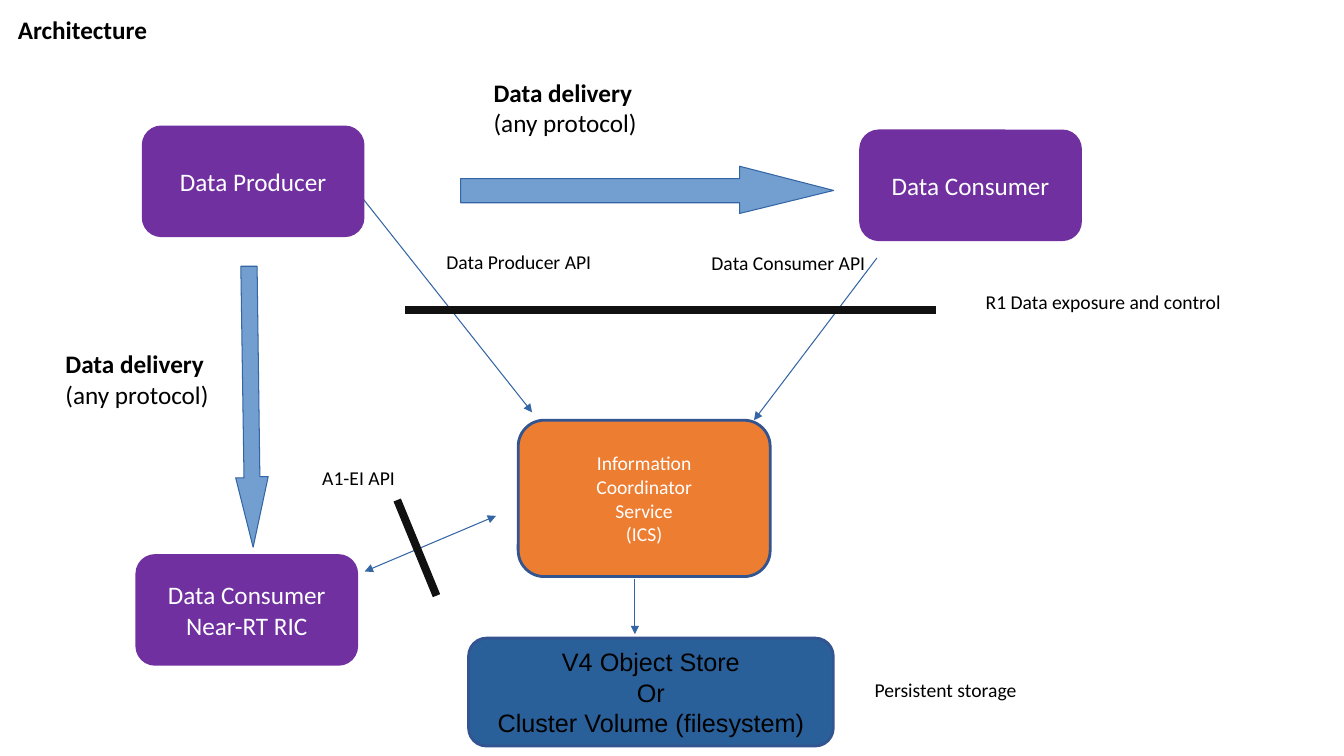
from dataclasses import dataclass

from lxml.etree import SubElement
from pptx import Presentation
from pptx.dml.color import RGBColor
from pptx.enum.shapes import MSO_CONNECTOR as Connector, MSO_SHAPE as Preset
from pptx.enum.text import MSO_ANCHOR as Anchor, PP_ALIGN as Align
from pptx.oxml.ns import qn
from pptx.util import Cm, Pt


@dataclass(frozen=True)
class Theme:
    black: str = "000000"
    white: str = "FFFFFF"
    purple: str = "7030A0"
    orange: str = "ED7D31"
    store_blue: str = "2A6099"
    border_blue: str = "325491"
    arrow_fill: str = "729FCF"
    arrow_line: str = "3465A4"
    bar: str = "111111"
    font: str = "Calibri"
    store_font: str = "Arial"
    large: int = 18
    small: int = 14
    box_border: float = 2
    thin: float = 0.75
    thick: float = 5.67


THEME = Theme()


@dataclass(frozen=True)
class Box:
    left: float
    top: float
    lines: tuple[str, ...]
    width: float = 5.54
    height: float = 2.74
    fill: str = THEME.purple
    border: str = THEME.purple
    color: str = THEME.white
    size: int = THEME.large
    font: str = THEME.font


@dataclass(frozen=True)
class Label:
    left: float
    top: float
    width: float
    height: float
    lines: tuple[str, ...]
    heading: bool = False


@dataclass(frozen=True)
class Line:
    start: tuple[float, float]
    end: tuple[float, float]
    color: str = THEME.arrow_line
    weight: float = THEME.thin
    head: bool = False
    tail: bool = False


DELIVERY = ("Data delivery", "(any protocol)")

LINES = (
    Line((22.1, 6.5), (19, 10.59), tail=True),
    Line((8.2, 3.81), (13.41, 10.39), head=True, tail=True),
    Line((10.21, 7.8), (23.6, 7.8), THEME.bar, THEME.thick),
    Line((12.5, 13), (9.19, 14.4), head=True, tail=True),
    Line((10.01, 12.6), (11, 15.01), THEME.bar, THEME.thick),
    Line((16, 14.58), (16, 15.98), tail=True),
)

BLOCK_ARROWS = (
    ((11.61, 4.5), (18.64, 4.5), (18.64, 4.19), (21.01, 4.8),
     (18.64, 5.38), (18.64, 5.11), (11.61, 5.11)),
    ((6.07, 6.71), (6.15, 12.04), (5.94, 12.04), (6.38, 13.79),
     (6.76, 12.01), (6.55, 12.01), (6.48, 6.71)),
)

BOXES = (
    Box(3.61, 3.2, ("Data Producer",)),
    Box(21.69, 3.3, ("Data Consumer",)),
    Box(3.45, 14, ("Data Consumer", "Near-RT RIC")),
    Box(13.06, 10.59, ("Information", "Coordinator", "Service", "(ICS)"),
        6.35, 3.94, THEME.orange, THEME.border_blue, size=THEME.small),
    Box(11.81, 16.08, ("V4 Object Store", "Or", "Cluster Volume (filesystem)"),
        9.19, 2.72, THEME.store_blue, THEME.border_blue, THEME.black,
        font=THEME.store_font),
)

LABELS = (
    Label(0.2, 0.23, 6.2, 1.02, ("Architecture",), heading=True),
    Label(12.19, 1.83, 6.2, 1.78, DELIVERY, heading=True),
    Label(1.4, 8.66, 4.19, 3.3, DELIVERY, heading=True),
    Label(11, 6.17, 4.19, 1.42, ("Data Producer API",)),
    Label(17.68, 6.2, 4.93, 1.42, ("Data Consumer API",)),
    Label(24.59, 7.19, 8.64, 0.84, ("R1 Data exposure and control",)),
    Label(7.87, 11.61, 4.93, 0.84, ("A1-EI API",)),
    Label(21.79, 16.97, 8.64, 0.84, ("Persistent storage",)),
)


def rgb(color: str) -> RGBColor:
    return RGBColor.from_string(color)


def write_text(shape, lines: tuple[str, ...], *, size: int = THEME.small,
               color: str = THEME.black, font: str = THEME.font,
               bold_first: bool = False, align: Align = Align.LEFT,
               anchor: Anchor = Anchor.TOP) -> None:
    """Write one paragraph per line, optionally with the first in bold."""
    frame = shape.text_frame
    frame.word_wrap = True
    frame.vertical_anchor = anchor
    for index, line in enumerate(lines):
        paragraph = frame.paragraphs[0] if index == 0 else frame.add_paragraph()
        paragraph.alignment = align
        run = paragraph.add_run()
        run.text = line
        run.font.name = font
        run.font.size = Pt(size)
        run.font.bold = bold_first and index == 0
        run.font.color.rgb = rgb(color)


def paint(shape, fill: str, border: str, weight: float) -> None:
    shape.shadow.inherit = False
    shape.fill.solid()
    shape.fill.fore_color.rgb = rgb(fill)
    shape.line.color.rgb = rgb(border)
    shape.line.width = Pt(weight)


def draw_line(slide, line: Line) -> None:
    connector = slide.shapes.add_connector(
        Connector.STRAIGHT, *map(Cm, line.start + line.end))
    connector.line.color.rgb = rgb(line.color)
    connector.line.width = Pt(line.weight)
    properties = connector.line._get_or_add_ln()
    for tag, shown in (("a:headEnd", line.head), ("a:tailEnd", line.tail)):
        if shown:
            SubElement(properties, qn(tag), type="triangle")
    SubElement(connector._element.spPr, qn("a:effectLst"))


def draw_block_arrow(slide, points: tuple[tuple[float, float], ...]) -> None:
    start, *others = [(Cm(x), Cm(y)) for x, y in points]
    builder = slide.shapes.build_freeform(*start)
    builder.add_line_segments(others, close=True)
    paint(builder.convert_to_shape(), THEME.arrow_fill, THEME.arrow_line, THEME.thin)


def draw_box(slide, box: Box) -> None:
    shape = slide.shapes.add_shape(
        Preset.ROUNDED_RECTANGLE,
        Cm(box.left), Cm(box.top), Cm(box.width), Cm(box.height))
    paint(shape, box.fill, box.border, THEME.box_border)
    write_text(shape, box.lines, size=box.size, color=box.color, font=box.font,
               align=Align.CENTER, anchor=Anchor.MIDDLE)


def draw_label(slide, label: Label) -> None:
    shape = slide.shapes.add_textbox(
        Cm(label.left), Cm(label.top), Cm(label.width), Cm(label.height))
    write_text(shape, label.lines, bold_first=label.heading,
               size=THEME.large if label.heading else THEME.small)


def main() -> None:
    presentation = Presentation()
    presentation.slide_width = Cm(33.87)
    presentation.slide_height = Cm(19.05)
    slide = presentation.slides.add_slide(presentation.slide_layouts[6])
    for draw, items in ((draw_line, LINES), (draw_block_arrow, BLOCK_ARROWS),
                        (draw_box, BOXES), (draw_label, LABELS)):
        for item in items:
            draw(slide, item)
    presentation.save("out.pptx")


if __name__ == "__main__":
    main()
